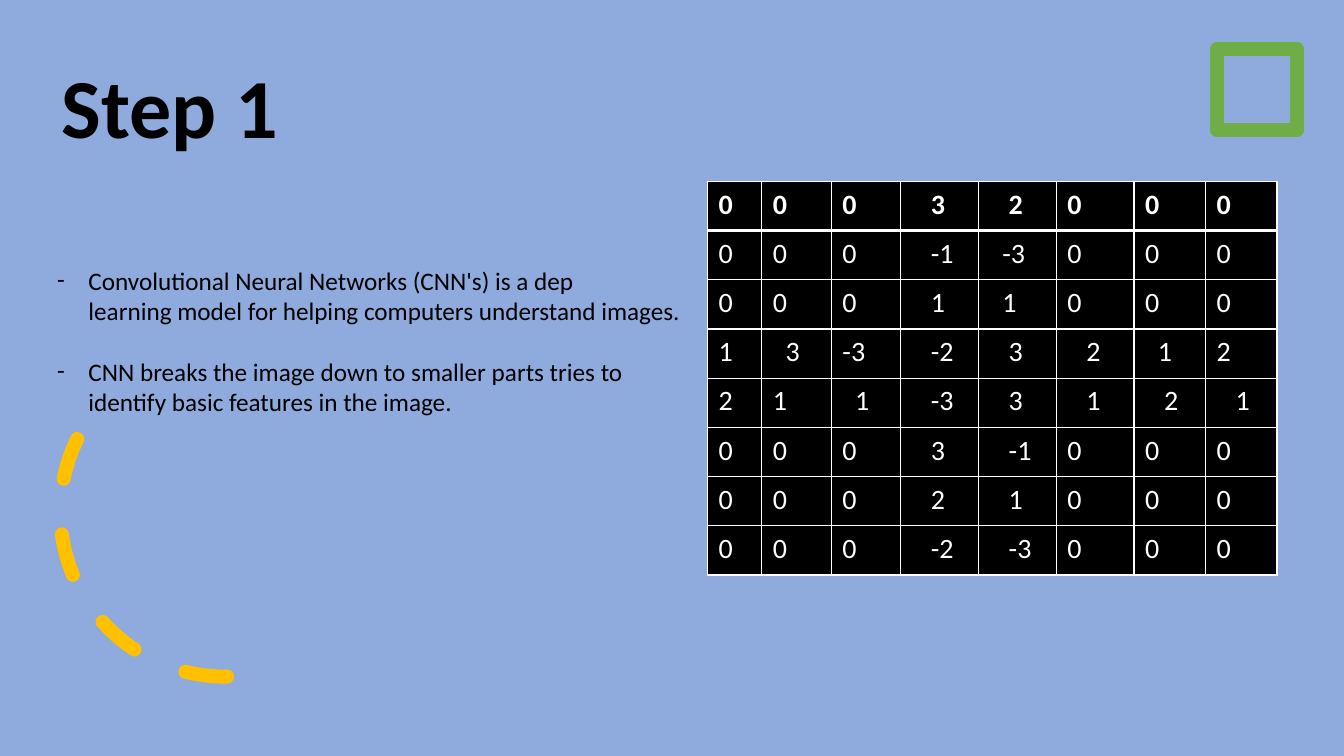
from lxml.etree import SubElement
from pptx import Presentation
from pptx.dml.color import RGBColor
from pptx.enum.dml import MSO_LINE
from pptx.enum.shapes import MSO_SHAPE
from pptx.enum.text import MSO_ANCHOR
from pptx.oxml.ns import qn
from pptx.util import Cm, Pt

BLUE = RGBColor(0x8F, 0xAA, 0xDC)
YELLOW = RGBColor(0xFF, 0xC0, 0x00)
GREEN = RGBColor(0x70, 0xAD, 0x47)
BLACK = RGBColor(0x00, 0x00, 0x00)
WHITE = RGBColor(0xFF, 0xFF, 0xFF)
FONT = "Calibri"

# \v is a line break within the paragraph
STEPS = [
    "Convolutional Neural Networks (CNN's) is a dep\vlearning model for helping computers understand images.",
    "CNN breaks the image down to smaller parts tries to identify basic features in the image.",
]

# Each row: the values, then how many steps each value is indented
MATRIX = [
    ("0 0 0 3 2 0 0 0", "00033000"),
    ("0 0 0 -1 -3 0 0 0", "00032000"),
    ("0 0 0 1 1 0 0 0", "00032000"),
    ("1 3 -3 -2 3 2 1 2", "02033320"),
    ("2 1 1 -3 3 1 2 1", "00233333"),
    ("0 0 0 3 -1 0 0 0", "00033000"),
    ("0 0 0 2 1 0 0 0", "00033000"),
    ("0 0 0 -2 -3 0 0 0", "00033000"),
]
COLUMN_WIDTHS = [1.37, 1.75, 1.75, 1.96, 1.96, 1.96, 1.8, 1.8]
ROW_HEIGHT = 1.24
INDENT_STEP = 0.16


def style_font(paragraph, size, color, bold=False):
    font = paragraph.font
    font.name, font.size, font.bold = FONT, Pt(size), bold
    font.color.rgb = color


def add_text_frame(slide, left, top, width, height):
    frame = slide.shapes.add_textbox(Cm(left), Cm(top), Cm(width), Cm(height)).text_frame
    frame.word_wrap = True
    return frame


def add_title(slide, text):
    frame = add_text_frame(slide, 1.3, 1.02, 12.55, 3.05)
    frame.vertical_anchor = MSO_ANCHOR.BOTTOM
    heading = frame.paragraphs[0]
    heading.text = text
    heading.line_spacing = 0.9
    heading.space_after = Pt(6)
    style_font(heading, 60, BLACK, bold=True)


def add_dash_list(slide, items):
    frame = add_text_frame(slide, 1.19, 6.55, 16.36, 4.11)
    for index, item in enumerate(items):
        entry = frame.paragraphs[0] if index == 0 else frame.add_paragraph()
        entry.text = item
        entry.space_before = Pt(22 if index else 0)
        style_font(entry, 18, BLACK)
        properties = entry._p.get_or_add_pPr()
        properties.set("marL", str(Cm(0.79)))
        properties.set("indent", str(-Cm(0.79)))
        # Bullets come before the default run properties
        run_defaults = properties.find(qn("a:defRPr"))
        run_defaults.addprevious(SubElement(properties, qn("a:buFont"), typeface=FONT))
        run_defaults.addprevious(SubElement(properties, qn("a:buChar"), char="-"))


def add_outline(slide, kind, left, top, size, color, dash=None):
    """Unfilled shape with a thick line and round joins."""
    outline = slide.shapes.add_shape(kind, Cm(left), Cm(top), Cm(size), Cm(size))
    outline.shadow.inherit = False
    outline.fill.background()
    outline.line.color.rgb = color
    outline.line.width = Pt(10)
    if dash:
        outline.line.dash_style = dash
    line = outline.line._get_or_add_ln()
    line.set("cap", "rnd")
    SubElement(line, qn("a:round"))
    return outline


def add_dashed_arc(slide):
    arc = add_outline(slide, MSO_SHAPE.ARC, 1.52, 8.74, 8.31, YELLOW, MSO_LINE.DASH)
    arc.adjustments[0] = 144.42
    arc.adjustments[1] = 0
    arc.rotation = 266.9
    arc._element.spPr.xfrm.set("flipH", "1")


def set_borders(cell, widths):
    properties = cell._tc.get_or_add_tcPr()
    for side, width in widths.items():
        border = SubElement(properties, qn(f"a:ln{side}"), w=str(Pt(width)))
        fill = SubElement(border, qn("a:solidFill"))
        SubElement(fill, qn("a:srgbClr"), val=str(WHITE))


def fill_cell(cell, value, indent, row):
    set_borders(cell, {"L": 1, "R": 1, "T": 3 if row == 1 else 1, "B": 3 if row == 0 else 1})
    cell.fill.solid()
    cell.fill.fore_color.rgb = BLACK
    cell.margin_left = Cm(0.28 + indent * INDENT_STEP)
    cell.margin_right = Cm(0.28)
    cell.margin_top = cell.margin_bottom = Cm(0.15)
    number = cell.text_frame.paragraphs[0]
    number.text = value
    style_font(number, 20, WHITE, bold=row == 0)


def add_matrix(slide):
    rows, columns = len(MATRIX), len(COLUMN_WIDTHS)
    table = slide.shapes.add_table(
        rows, columns, Cm(17.83), Cm(4.57), Cm(sum(COLUMN_WIDTHS)), Cm(rows * ROW_HEIGHT)
    ).table
    for column, width in zip(table.columns, COLUMN_WIDTHS):
        column.width = Cm(width)
    for row, (values, indents) in enumerate(MATRIX):
        table.rows[row].height = Cm(ROW_HEIGHT)
        for column, (value, indent) in enumerate(zip(values.split(), indents)):
            fill_cell(table.cell(row, column), value, int(indent), row)


def main():
    presentation = Presentation()
    presentation.slide_width, presentation.slide_height = Cm(33.87), Cm(19.05)
    slide = presentation.slides.add_slide(presentation.slide_layouts[6])
    slide.background.fill.solid()
    slide.background.fill.fore_color.rgb = BLUE

    # Decoration
    add_dashed_arc(slide)
    add_outline(slide, MSO_SHAPE.RECTANGLE, 30.66, 1.24, 2.03, GREEN)

    # Content
    add_title(slide, "Step 1")
    add_matrix(slide)
    add_dash_list(slide, STEPS)

    presentation.save("out.pptx")


if __name__ == "__main__":
    main()
